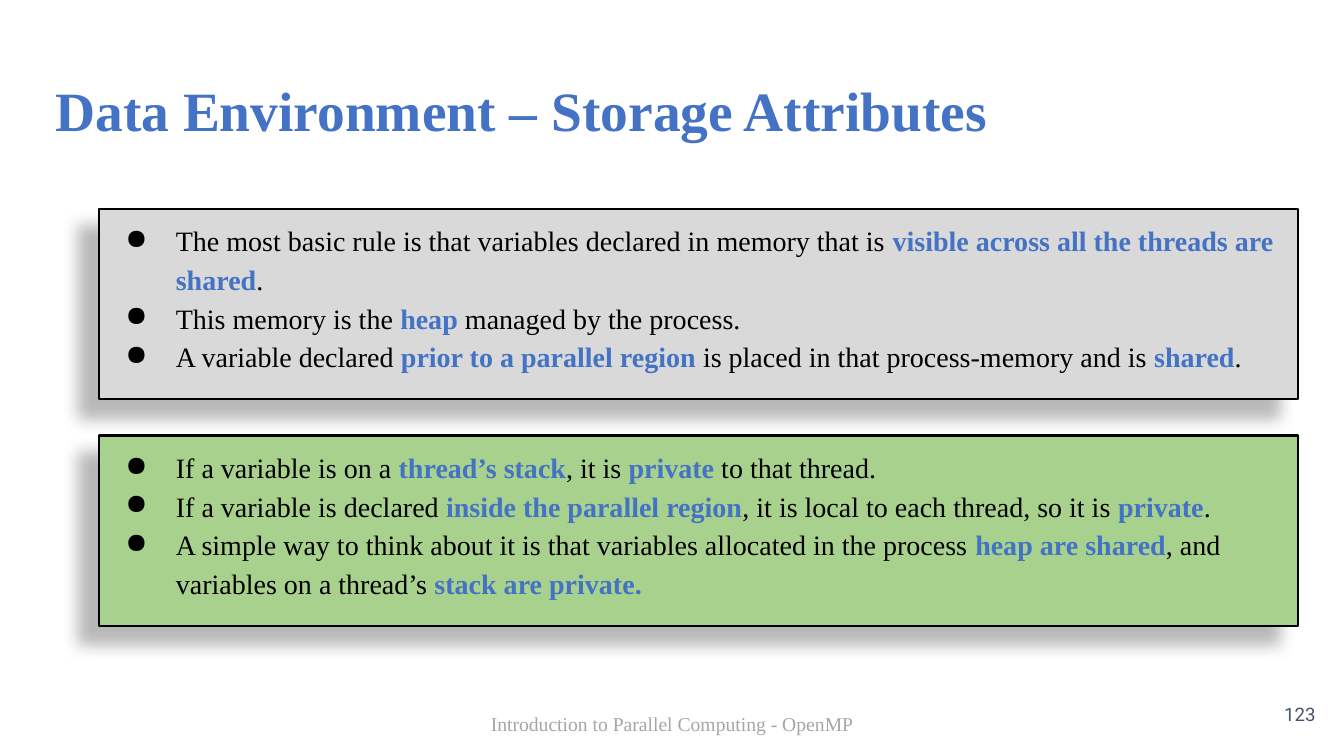
from dataclasses import dataclass

from lxml.etree import SubElement
from pptx import Presentation
from pptx.dml.color import RGBColor
from pptx.enum.shapes import MSO_SHAPE as Preset
from pptx.enum.text import MSO_ANCHOR as Anchor, PP_ALIGN as Align
from pptx.oxml.ns import qn
from pptx.shapes.autoshape import Shape
from pptx.slide import Slide
from pptx.text.text import TextFrame, _Paragraph as Paragraph, _Run as Run
from pptx.util import Pt

COLORS = {
    "accent": "4472C4",
    "ink": "000000",
    "shared": "D9D9D9",
    "private": "A9D18E",
    "number": "44546A",
    "footer": "A6A6A6",
}
SERIF = "Times New Roman"
INSET = 7.2


@dataclass
class Label:
    text: str
    left: float
    top: float
    width: float
    height: float
    size: float
    color: str
    font: str = SERIF
    bold: bool = False
    align: Align = Align.LEFT
    anchor: Anchor = Anchor.TOP


@dataclass
class Panel:
    top: float
    fill: str
    rules: list[str]


LABELS = [
    Label("Data Environment – Storage Attributes", 32.4, 46.8, 894.24, 60.48,
          39.6, "accent", bold=True),
    Label("123", 889.2, 489.6, 57.6, 41.04, 13.3, "number", "Roboto",
          align=Align.RIGHT, anchor=Anchor.MIDDLE),
    Label("Introduction to Parallel Computing - OpenMP", 318.24, 501.12, 324, 28.8,
          14, "footer", align=Align.CENTER),
]

PANELS = [
    Panel(149.04, "shared", [
        "The most basic rule is that variables declared in memory that is "
        "*visible across all the threads are shared*.",
        "This memory is the *heap* managed by the process.",
        "A variable declared *prior to a parallel region *is placed in that "
        "process-memory and is *shared*.",
    ]),
    Panel(311.04, "private", [
        "If a variable is on a *thread’s stack*, it is *private* to that thread.",
        "If a variable is declared *inside the parallel region*, it is local to "
        "each thread, so it is *private*.",
        "A simple way to think about it is that variables allocated in the process "
        "*heap are shared*, and variables on a thread’s *stack are private.*",
    ]),
]


def rgb(name: str) -> RGBColor:
    return RGBColor.from_string(COLORS[name])


def format_run(run: Run, size: float, color: str, font: str, bold: bool) -> None:
    run.font.size = Pt(size)
    run.font.color.rgb = rgb(color)
    run.font.name = font
    run.font.bold = bold


def prepare_frame(frame: TextFrame, anchor: Anchor) -> None:
    frame.word_wrap = True
    frame.vertical_anchor = anchor
    frame.margin_left = frame.margin_right = Pt(INSET)
    frame.margin_top = frame.margin_bottom = Pt(INSET)


def draw_label(slide: Slide, label: Label) -> None:
    box = slide.shapes.add_textbox(
        Pt(label.left), Pt(label.top), Pt(label.width), Pt(label.height))
    prepare_frame(box.text_frame, label.anchor)
    box.text_frame.text = label.text
    line = box.text_frame.paragraphs[0]
    line.alignment = label.align
    format_run(line.runs[0], label.size, label.color, label.font, label.bold)


def cast_shadow(shape: Shape) -> None:
    shape.shadow.inherit = False
    effects = shape.element.spPr.find(qn("a:effectLst"))
    shadow = SubElement(
        effects, qn("a:outerShdw"), blurRad=str(Pt(11.8)), dist=str(Pt(19.7)),
        dir=str(141 * 60000), algn="tr", rotWithShape="0")
    tint = SubElement(shadow, qn("a:srgbClr"), val=COLORS["ink"])
    SubElement(tint, qn("a:alpha"), val="28000")


def add_bullet(rule: Paragraph) -> None:
    properties = rule._p.get_or_add_pPr()
    properties.set("marL", str(Pt(48)))
    properties.set("indent", str(Pt(-36)))
    SubElement(properties, qn("a:buChar"), char="●")


def draw_panel(slide: Slide, panel: Panel) -> None:
    box = slide.shapes.add_shape(
        Preset.RECTANGLE, Pt(70.56), Pt(panel.top), Pt(856.8), Pt(136.08))
    box.fill.solid()
    box.fill.fore_color.rgb = rgb(panel.fill)
    box.line.color.rgb = rgb("ink")
    box.line.width = Pt(1.5)
    cast_shadow(box)
    frame = box.text_frame
    prepare_frame(frame, Anchor.TOP)
    for index, text in enumerate(panel.rules):
        rule = frame.add_paragraph() if index else frame.paragraphs[0]
        rule.alignment = Align.LEFT
        rule.line_spacing = 1.15
        add_bullet(rule)
        for position, phrase in enumerate(text.split("*")):
            if phrase:
                key = position % 2 == 1
                run = rule.add_run()
                run.text = phrase
                format_run(run, 20, "accent" if key else "ink", SERIF, key)


def main() -> None:
    deck = Presentation()
    deck.slide_width, deck.slide_height = Pt(960), Pt(540)
    slide = deck.slides.add_slide(deck.slide_layouts[6])
    for panel in PANELS:
        draw_panel(slide, panel)
    for label in LABELS:
        draw_label(slide, label)
    deck.save("out.pptx")


if __name__ == "__main__":
    main()
